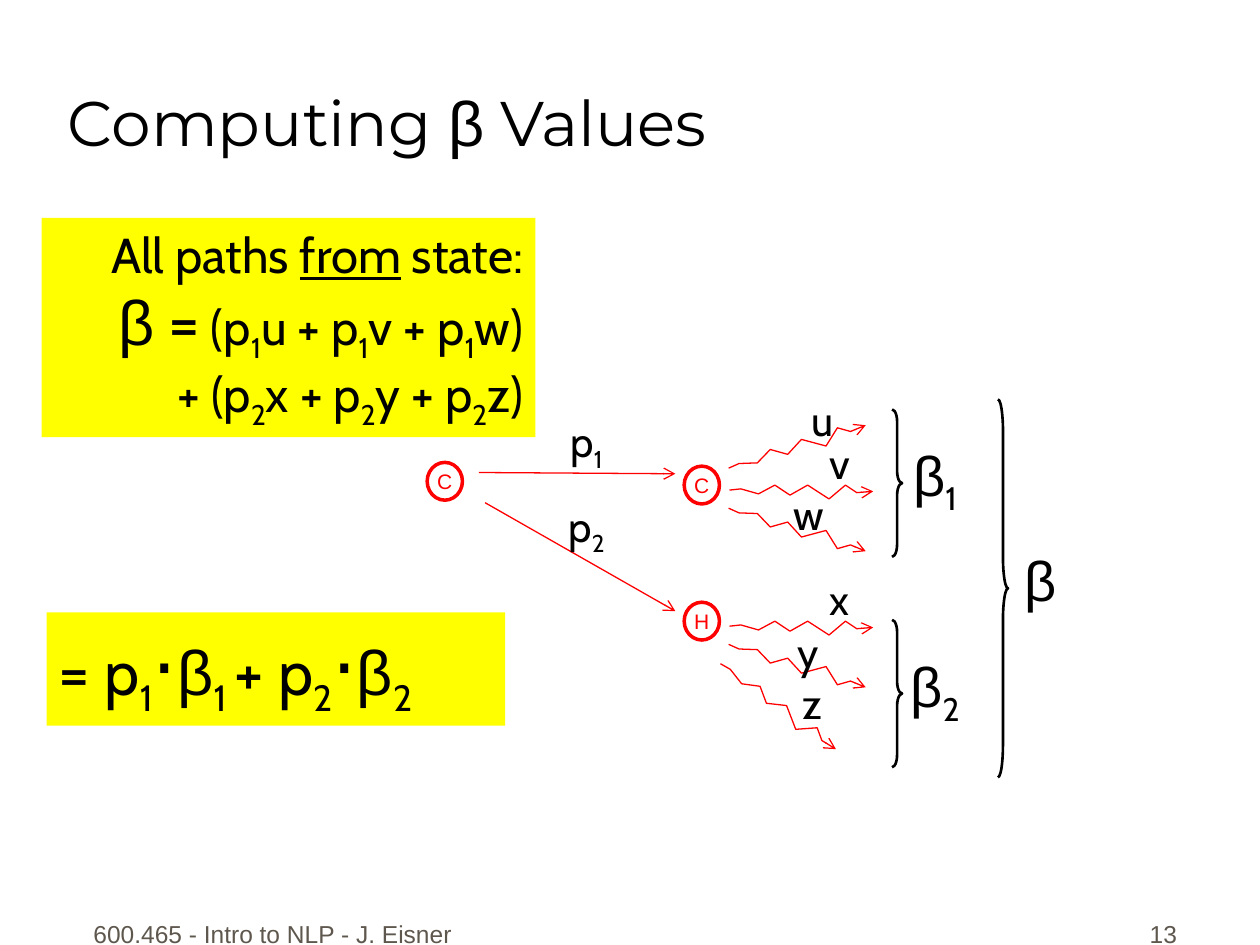
from lxml.etree import SubElement
from pptx import Presentation
from pptx.dml.color import RGBColor
from pptx.enum.shapes import MSO_CONNECTOR, MSO_SHAPE
from pptx.enum.text import MSO_ANCHOR, PP_ALIGN
from pptx.oxml.ns import qn
from pptx.util import Inches, Pt

RED, BLACK, YELLOW, GREY = "FF0000", "000000", "FFFF00", "5E574E"
LEFT, CENTER, RIGHT = PP_ALIGN.LEFT, PP_ALIGN.CENTER, PP_ALIGN.RIGHT
ZIGZAG = [(0, 0.04), (0.09, 0.03), (0.23, 0.07), (0.36, 0), (0.48, 0.08),
          (0.62, 0), (0.79, 0.11), (0.92, 0), (1.01, 0.06), (1.14, 0.05)]
ZIGZAG_HEIGHT = 0.11


def rgb(color):
    """Turn a hex string into a colour."""
    return RGBColor.from_string(color)


def set_line(sp, color, width):
    """Give a shape or connector a solid line."""
    sp.line.color.rgb = rgb(color)
    sp.line.width = Pt(width)


def add_arrowhead(sp):
    """Put an open arrowhead at the end of a line."""
    SubElement(sp.line._get_or_add_ln(), qn("a:tailEnd"), type="arrow")


def add_runs(p, text, font=None, size=None, underline=None):
    """Add text whose parts between bars are subscripts and whose newlines are breaks."""
    for i, part in enumerate(text.split("|")):
        for j, piece in enumerate(part.split("\n")):
            if j:
                p.add_line_break()
            if not piece:
                continue
            r = p.add_run()
            r.text = piece
            if font:
                r.font.name = font
            if size:
                r.font.size = Pt(size)
            if underline:
                r.font.underline = True
            if i % 2:
                r.font._element.set("baseline", "-25000")


def write(sp, paragraphs, font, size, color=BLACK, align=CENTER,
          anchor=MSO_ANCHOR.TOP, wrap=False, before=0):
    """Fill a shape with paragraphs, each a list of run arguments."""
    tf = sp.text_frame
    tf.word_wrap = wrap
    tf.vertical_anchor = anchor
    for i, runs in enumerate(paragraphs):
        p = tf.add_paragraph() if i else tf.paragraphs[0]
        p.alignment = align
        p.space_before = Pt(before)
        p.font.name = font
        p.font.size = Pt(size)
        p.font.color.rgb = rgb(color)
        for run in runs:
            add_runs(p, *run)


def add_text(s, x, y, w, h, paragraphs, font, size, **style):
    """Add a text box."""
    sp = s.shapes.add_textbox(Inches(x), Inches(y), Inches(w), Inches(h))
    write(sp, paragraphs, font, size, **style)


def add_panel(s, x, y, w, h, paragraphs, size, align):
    """Add a yellow formula panel."""
    sp = s.shapes.add_shape(MSO_SHAPE.RECTANGLE, Inches(x), Inches(y), Inches(w), Inches(h))
    sp.shadow.inherit = False
    sp.fill.solid()
    sp.fill.fore_color.rgb = rgb(YELLOW)
    sp.line.fill.background()
    write(sp, paragraphs, "Cabin", size, align=align, wrap=True)


def add_state(s, x, y, name):
    """Add a circled state."""
    sp = s.shapes.add_shape(MSO_SHAPE.OVAL, Inches(x), Inches(y), Inches(0.28), Inches(0.3))
    sp.shadow.inherit = False
    sp.fill.background()
    set_line(sp, RED, 2)
    write(sp, [[(name,)]], "Arial", 12, color=RED, anchor=MSO_ANCHOR.MIDDLE)


def add_arrow(s, x1, y1, x2, y2):
    """Add a straight red arrow."""
    sp = s.shapes.add_connector(MSO_CONNECTOR.STRAIGHT, Inches(x1), Inches(y1),
                                Inches(x2), Inches(y2))
    set_line(sp, RED, 0.75)
    add_arrowhead(sp)
    SubElement(sp._element.spPr, qn("a:effectLst"))


def add_zigzag(s, x, y, angle=0, mirrored=False):
    """Add a jagged path arrow, turned by an angle."""
    points = [(Inches(x + dx), Inches(y + (ZIGZAG_HEIGHT - dy if mirrored else dy)))
              for dx, dy in ZIGZAG]
    builder = s.shapes.build_freeform(*points[0])
    builder.add_line_segments(points[1:], close=False)
    sp = builder.convert_to_shape()
    sp.shadow.inherit = False
    sp.fill.background()
    set_line(sp, RED, 0.75)
    add_arrowhead(sp)
    sp.rotation = angle


def add_brace(s, x, y, h):
    """Add a right brace whose curls take a twelfth of its height."""
    w = 0.08
    sp = s.shapes.add_shape(MSO_SHAPE.RIGHT_BRACE, Inches(x), Inches(y), Inches(w), Inches(h))
    sp.shadow.inherit = False
    sp.fill.background()
    set_line(sp, BLACK, 1.5)
    sp.adjustments[0] = h / 12 / w


def main():
    """Build the slide."""
    prs = Presentation()
    prs.slide_width, prs.slide_height = Inches(10), Inches(7.5)
    s = prs.slides.add_slide(prs.slide_layouts[6])

    footer = dict(color=GREY, anchor=MSO_ANCHOR.BOTTOM, wrap=True, before=8.8)
    add_text(s, 0.58, 7.08, 3.17, 0.5, [[("600.465 - Intro to NLP - J. Eisner",)]],
             "Arial", 14, **footer)
    add_text(s, 7.36, 7.08, 2.08, 0.5, [[("13",)]], "Arial", 14, align=RIGHT, **footer)
    add_text(s, 0.44, 0.06, 9.31, 1.25,
             [[("Computing ",), ("β", "Arial"), (" Values",)]], "Montserrat", 36,
             align=LEFT, anchor=MSO_ANCHOR.BOTTOM, wrap=True)

    add_panel(s, 0.33, 1.73, 3.92, 1.74, [
        [("All paths ",), ("from", None, None, True), (" state:",)],
        [("β", "Arial", 36), (" =", None, 36),
         (" (p|1|u + p|1|v + p|1|w)\n+ (p|2|x + p|2|y + p|2|z)",)],
    ], 28, RIGHT)
    dot, beta = ("⋅", "Arial", 44), ("β", "Arial")
    add_panel(s, 0.37, 4.86, 3.64, 0.9,
              [[("= p|1|",), dot, beta, ("|1 |+ p|2|",), dot, beta, ("|2|",)]], 36, LEFT)

    for x, y, name in [(3.39, 3.67, "C"), (5.43, 3.7, "C"), (5.43, 4.78, "H")]:
        add_state(s, x, y, name)
    add_arrow(s, 3.8, 3.75, 5.36, 3.76)
    add_arrow(s, 3.85, 3.99, 5.36, 4.85)

    add_zigzag(s, 5.76, 3.5, -17.9)
    add_zigzag(s, 5.6, 5.56, 36)
    for y in (3.85, 4.93):
        add_zigzag(s, 5.79, y)
        add_zigzag(s, 5.76, y + 0.29, 17.9, mirrored=True)

    for x, y, w, label in [
        (4.4, 3.25, 0.51, "p|1|"), (4.4, 3.92, 0.51, "p|2|"),
        (6.33, 3.08, 0.4, "u"), (6.48, 3.42, 0.37, "v"), (6.19, 3.83, 0.46, "w"),
        (6.48, 4.5, 0.37, "x"), (6.23, 4.92, 0.37, "y"), (6.27, 5.33, 0.35, "z"),
    ]:
        add_text(s, x, y, w, 0.5, [[(label,)]], "Cabin", 24)

    for y, index in [(3.25, "|1|"), (4.92, "|2|")]:
        add_brace(s, 7.08, y, 1.17)
        add_text(s, 7.1, y + 0.2, 0.64, 0.63, [[beta, (index,)]], "Cabin", 32)
    add_brace(s, 7.92, 3.17, 3)
    add_text(s, 8.02, 4.28, 0.48, 0.63, [[("β",)]], "Arial", 32)

    prs.save("out.pptx")


if __name__ == "__main__":
    main()
